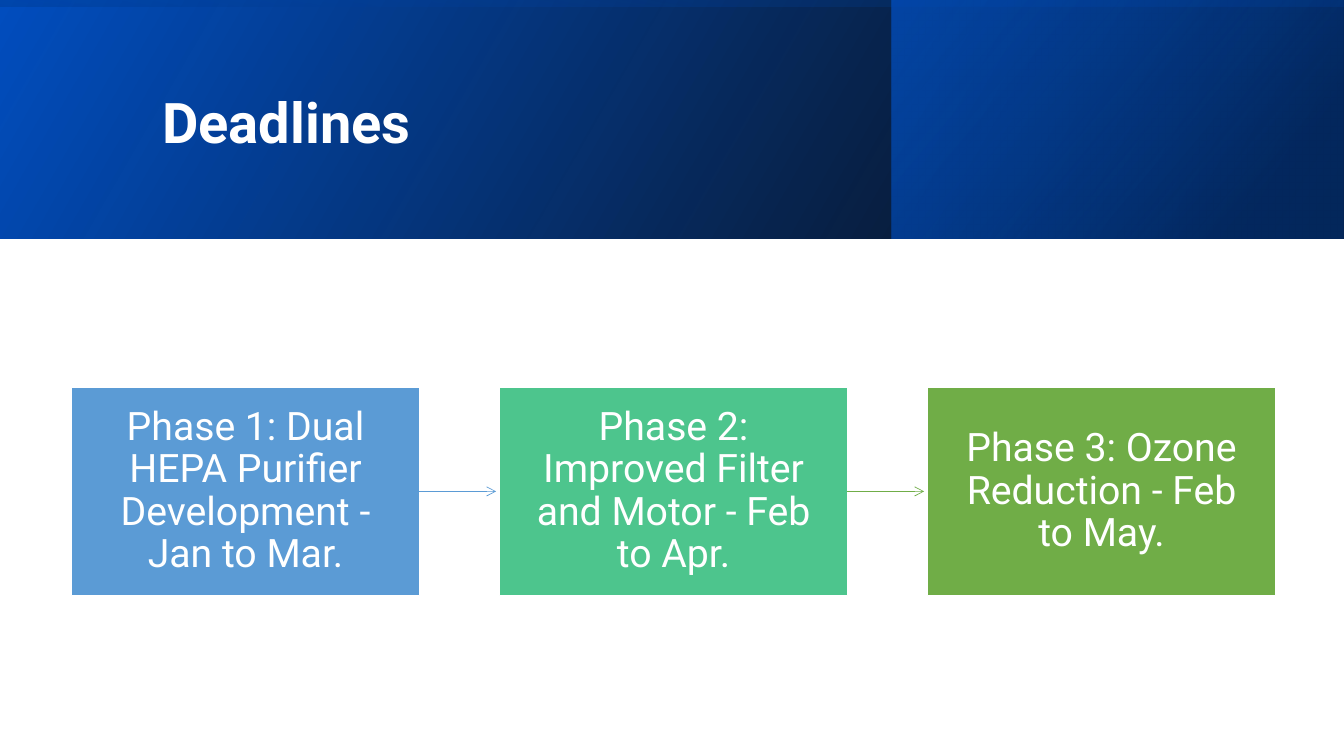
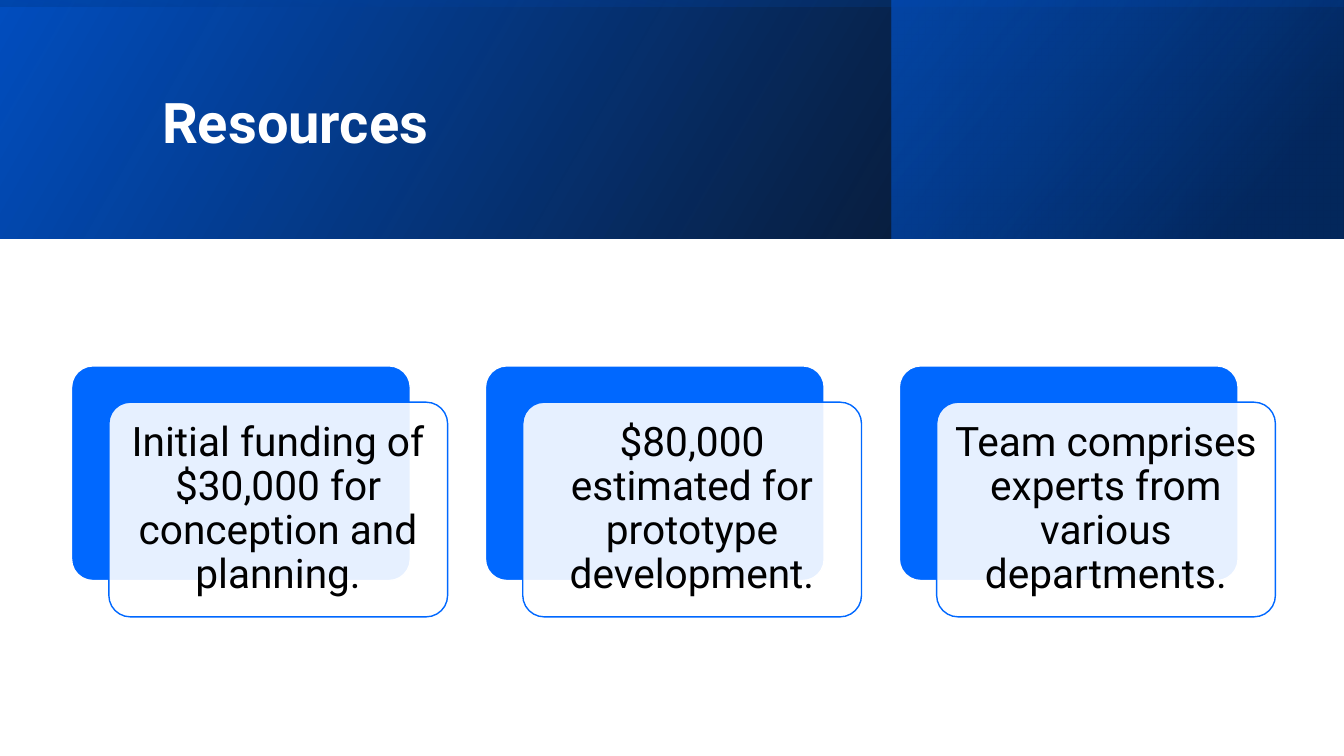
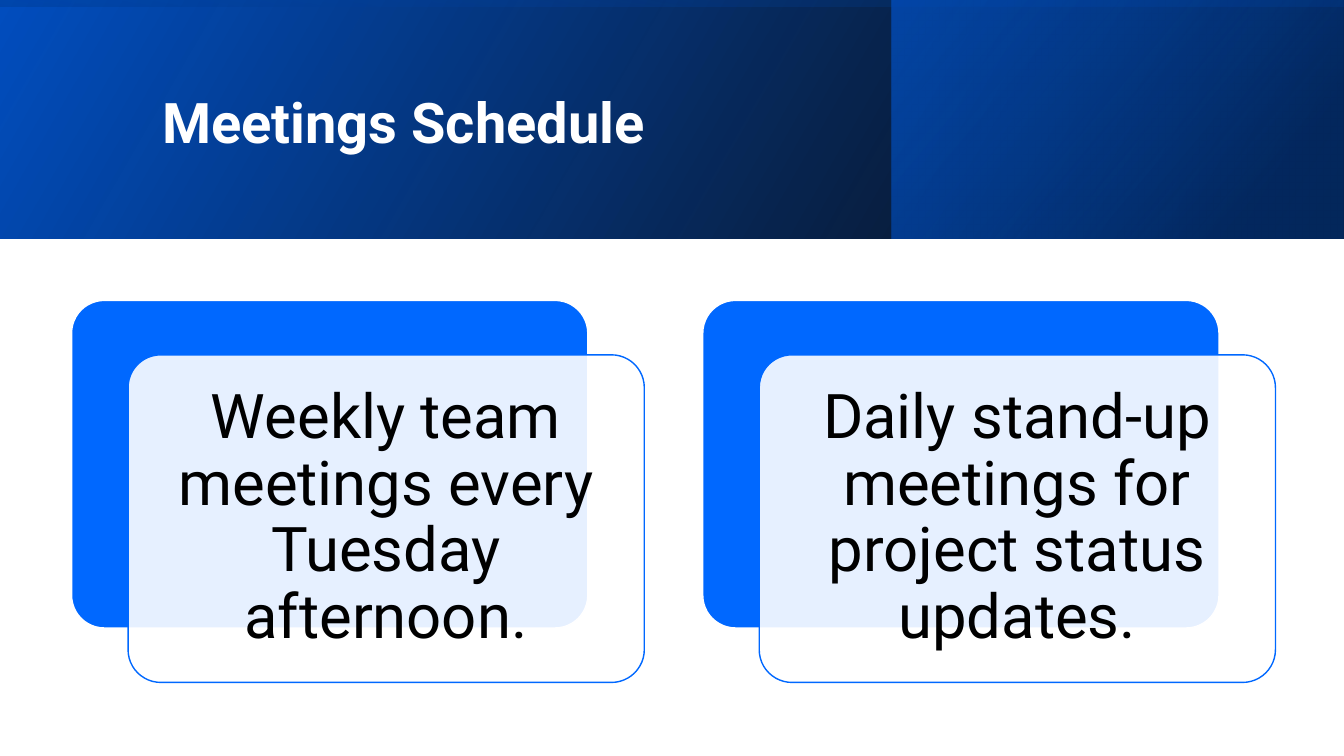
from dataclasses import dataclass

from lxml.etree import SubElement
from pptx import Presentation
from pptx.dml.color import RGBColor
from pptx.enum.shapes import MSO_CONNECTOR as Wire, MSO_SHAPE as Kind
from pptx.enum.text import MSO_ANCHOR as Anchor, MSO_AUTO_SIZE as Fit, PP_ALIGN as Align
from pptx.oxml.ns import qn
from pptx.util import Inches, Pt

# Content
PHASES = [
    ("Phase 1: Dual HEPA Purifier Development - Jan to Mar.", "5B9BD5"),
    ("Phase 2: Improved Filter and Motor - Feb to Apr.", "4DC58D"),
    ("Phase 3: Ozone Reduction - Feb to May.", "70AD47"),
]
ARROWS = ["5B9BD5", "70AD47"]
FUNDS = [
    "Initial funding of $30,000 for conception and planning.",
    "$80,000 estimated for prototype development.",
    "Team comprises experts from various departments.",
]
MEETS = [
    "Weekly team meetings every Tuesday afternoon.",
    "Daily stand-up meetings for project status updates.",
]


# Theme
@dataclass(frozen=True)
class Theme:
    font: str = "Roboto"
    white: str = "FFFFFF"
    black: str = "000000"
    blue: str = "0068FF"
    deep: str = "004EBF"
    navy: str = "003480"
    title: int = 40
    phase: int = 28
    fund: int = 29
    meet: int = 44
    left: float = 0.71
    right: float = 12.65


T = Theme()

# Header layers: place, turn, gradient angle, stops of (position, colour, opacity)
BANDS = [
    ((0, 0, 13.33, 2.37), 0, 330, [(0, T.black, 96), (100, T.deep, 100)]),
    ((8.84, 0, 4.48, 2.37), 0, 320, [(19, T.navy, 68), (100, T.blue, 48)]),
    ((5.48, -5.48, 2.37, 13.33), 270, 350, [(23, T.deep, 16), (99, T.black, 45)]),
]


# Helpers
def rgb(code):
    return RGBColor.from_string(code)


def fade(shape, levels):
    """Set the opacity, in percent, of each fill colour in turn."""
    for clr, level in zip(shape.element.spPr.iter(qn("a:srgbClr")), levels):
        SubElement(clr, qn("a:alpha")).set("val", str(level * 1000))


def spread(count, width):
    """Left edges of equal parts that span the content area."""
    step = (T.right - T.left - width) / (count - 1)
    return [T.left + step * i for i in range(count)]


def add_box(slide, kind, place, fill=None, line=None, alpha=100):
    box = slide.shapes.add_shape(kind, *map(Inches, place))
    box.shadow.inherit = False
    if fill:
        box.fill.solid()
        box.fill.fore_color.rgb = rgb(fill)
        if alpha < 100:
            fade(box, [alpha])
    if line:
        box.line.color.rgb = rgb(line)
        box.line.width = Pt(1)
    else:
        box.line.fill.background()
    if kind == Kind.ROUNDED_RECTANGLE:
        box.adjustments[0] = 0.1
    return box


def write(shape, text, size, color, pad=(0.1, 0.05), align=Align.CENTER, bold=False):
    frame = shape.text_frame
    form = {
        "text": text, "word_wrap": True, "auto_size": Fit.NONE,
        "vertical_anchor": Anchor.MIDDLE,
        "margin_left": Inches(pad[0]), "margin_right": Inches(pad[0]),
        "margin_top": Inches(pad[1]), "margin_bottom": Inches(pad[1]),
    }
    for name, value in form.items():
        setattr(frame, name, value)
    para = frame.paragraphs[0]
    para.alignment, para.line_spacing = align, 0.9
    font = para.runs[0].font
    for name, value in {"name": T.font, "size": Pt(size), "bold": bold}.items():
        setattr(font, name, value)
    font.color.rgb = rgb(color)


# Shared slide frame
def add_slide(deck, text):
    slide = deck.slides.add_slide(deck.slide_layouts[5])
    title = slide.shapes.title
    for place, turn, angle, stops in BANDS:
        band = add_box(slide, Kind.RECTANGLE, place)
        band.rotation = turn
        band.element.spPr.xfrm.set("flipH", "1")
        band.fill.gradient()
        band.fill.gradient_angle = 360 - angle
        for stop, (pos, color, _) in zip(band.fill.gradient_stops, stops):
            stop.position = pos / 100
            stop.color.rgb = rgb(color)
        fade(band, [level for _, _, level in stops])
    # Bring the title in front of the bands
    title.element.getparent().append(title.element)
    title.left, title.top, title.width, title.height = map(Inches, (1.51, 0.38, 10.63, 1.72))
    write(title, text, T.title, T.white, align=Align.LEFT, bold=True)
    return slide


def add_flow(slide, phases, arrows):
    top, width, height, reach = 3.84, 3.45, 2.07, 0.76
    boxes = []
    for left, (text, color) in zip(spread(len(phases), width), phases):
        box = add_box(slide, Kind.RECTANGLE, (left, top, width, height), color, T.white)
        write(box, text, T.phase, T.white, (0.17, 0.18))
        boxes.append(box)
    for box, color in zip(boxes, arrows):
        start, mid = box.left + box.width, box.top + box.height // 2
        wire = slide.shapes.add_connector(
            Wire.STRAIGHT, start, mid, start + Inches(reach), mid)
        wire.begin_connect(box, 3)
        wire.line.color.rgb = rgb(color)
        wire.line.width = Pt(0.5)
        SubElement(wire.line._get_or_add_ln(), qn("a:tailEnd")).set("type", "arrow")
        SubElement(wire.element.spPr, qn("a:effectLst"))


def add_cards(slide, texts, top, width, height, shift, size, pad):
    right, down = shift
    for left, text in zip(spread(len(texts), width + right), texts):
        add_box(slide, Kind.ROUNDED_RECTANGLE, (left, top, width, height), T.blue, T.white)
        card = add_box(slide, Kind.ROUNDED_RECTANGLE,
                       (left + right, top + down, width, height), T.white, T.blue, 90)
        write(card, text, size, T.black, (pad, pad))


# Slides
def main():
    deck = Presentation()
    deck.slide_width, deck.slide_height = Inches(13.33), Inches(7.5)
    add_flow(add_slide(deck, "Deadlines"), PHASES, ARROWS)
    add_cards(add_slide(deck, "Resources"), FUNDS,
              3.63, 3.36, 2.13, (0.37, 0.36), T.fund, 0.12)
    add_cards(add_slide(deck, "Meetings Schedule"), MEETS,
              2.98, 5.12, 3.25, (0.56, 0.54), T.meet, 0.18)
    deck.save("out.pptx")


if __name__ == "__main__":
    main()
